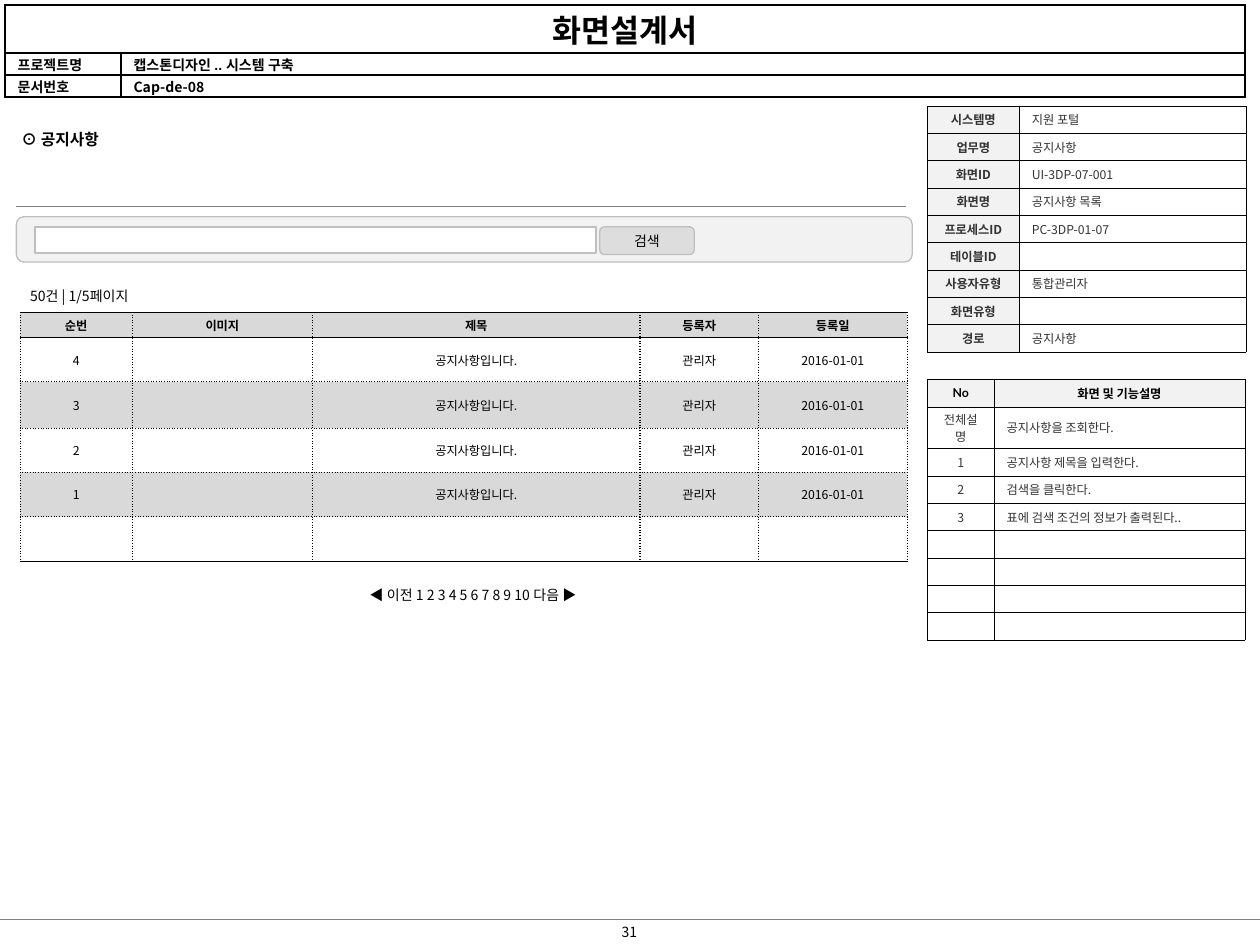
from dataclasses import dataclass
from lxml.etree import SubElement as Sub
from pptx import Presentation
from pptx.dml.color import RGBColor as Rgb
from pptx.enum.shapes import MSO_CONNECTOR as Link, MSO_SHAPE as Form
from pptx.enum.text import MSO_ANCHOR as Anchor, MSO_AUTO_SIZE as Auto, PP_ALIGN as Align
from pptx.oxml.ns import qn
from pptx.util import Inches, Pt


@dataclass
class Theme:
    ink: str = "000000"
    soft: str = "333333"
    rule: str = "808080"
    edge: str = "BFBFBF"
    key: str = "DDDDDD"
    band: str = "D9D9D9"
    pale: str = "F2F2F2"
    white: str = "FFFFFF"
    font: str = "Noto Sans CJK KR"
    alt: str = "Arial"
    lato: str = "Lato"
    big: int = 18
    head: int = 9
    body: int = 8
    cell: int = 7


look = Theme()


def write(frame, text, size, bold=False, tone=look.ink, font=look.font, align=Align.LEFT):
    par = frame.paragraphs[0]
    par.alignment = align
    par.font.size, par.font.bold, par.font.name = Pt(size), bold, font
    par.font.color.rgb = Rgb.from_string(tone)
    if text:
        par.add_run().text = text
    else:
        par._p.get_or_add_endParaRPr().set("sz", str(size * 100))


def grid(left, top, cols, rows, width, inset, pad, dots=False):
    table = slide.shapes.add_table(len(rows), len(cols), Inches(left), Inches(top),
                                   Inches(sum(cols)), Inches(sum(rows))).table
    table.first_row = table.horz_banding = False
    for col, size in zip(table.columns, cols):
        col.width = Inches(size)
    for i, size in enumerate(rows):
        table.rows[i].height = Inches(size)
        for cell in table.rows[i].cells:
            cell.margin_left = cell.margin_right = Inches(inset)
            cell.margin_top = cell.margin_bottom = Inches(pad)
            cell.vertical_anchor = Anchor.MIDDLE
            solid = {"T": i < 2, "B": i in (0, len(rows) - 1)}
            for side in "LRTB":
                line = Sub(cell._tc.get_or_add_tcPr(), qn(f"a:ln{side}"), w=str(Pt(width)))
                Sub(Sub(line, qn("a:solidFill")), qn("a:srgbClr"), val=look.ink)
                dash = "sysDot" if dots and not solid.get(side) else "solid"
                Sub(line, qn("a:prstDash"), val=dash)
            cell.fill.solid()
            cell.fill.fore_color.rgb = Rgb.from_string(look.white)
    return table


deck = Presentation()
deck.slide_width, deck.slide_height = Inches(10), Inches(7.5)
slide = deck.slides.add_slide(deck.slide_layouts[5])

title = slide.shapes.title
title.left, title.top, title.width, title.height = map(Inches, (0.07, 0.98, 0.87, 0.25))
frame = title.text_frame
frame.word_wrap, frame.auto_size = False, Auto.NONE
frame.vertical_anchor = Anchor.MIDDLE
write(frame, "⊙ 공지사항", look.head, True)

for start, end, y in [(0, 10, 7.3), (0.13, 7.19, 1.64)]:
    line = slide.shapes.add_connector(Link.STRAIGHT, Inches(start), Inches(y), Inches(end), Inches(y))
    line.line.color.rgb = Rgb.from_string(look.rule)
    line.line.width = Pt(0.75)
    Sub(line._element.spPr, qn("a:effectLst"))

top = grid(0.04, 0.04, [0.92, 8.92], [0.38, 0.175, 0.175], 1, 0.1, 0)
top.cell(0, 0).merge(top.cell(0, 1))
write(top.cell(0, 0).text_frame, "화면설계서", look.big, True, align=Align.CENTER)
facts = [("프로젝트명", "캡스톤디자인 .. 시스템 구축"), ("문서번호", "Cap-de-08")]
for i, pair in enumerate(facts, 1):
    for j, text in enumerate(pair):
        cell = top.cell(i, j)
        cell.vertical_anchor = Anchor.BOTTOM
        font = look.font if text.isascii() else look.alt
        write(cell.text_frame, text, look.body, True, font=font)

notes = [
    ("No", "화면 및 기능설명"),
    ("전체설명", "공지사항을 조회한다."),
    ("1", "공지사항 제목을 입력한다."),
    ("2", "검색을 클릭한다."),
    ("3", "표에 검색 조건의 정보가 출력된다.."),
] + [("", "")] * 4
table = grid(7.36, 3.01, [0.53, 1.99], [0.22, 0.33] + [0.217] * 7, 0.25, 0.1, 0.02)
for i, pair in enumerate(notes):
    for j, text in enumerate(pair):
        cell = table.cell(i, j)
        align = Align.LEFT if i and j else Align.CENTER
        if i:
            write(cell.text_frame, text, look.cell, tone=look.soft, align=align)
        else:
            cell.fill.fore_color.rgb = Rgb.from_string(look.pale)
            write(cell.text_frame, text, look.cell, True, font=(look.lato, look.alt)[j], align=align)

specs = [
    ("시스템명", "지원 포털"),
    ("업무명", "공지사항"),
    ("화면ID", "UI-3DP-07-001"),
    ("화면명", "공지사항 목록"),
    ("프로세스ID", "PC-3DP-01-07"),
    ("테이블ID", ""),
    ("사용자유형", "통합관리자"),
    ("화면유형", ""),
    ("경로", "공지사항"),
]
table = grid(7.36, 0.84, [0.73, 1.8], [0.217] * 9, 0.25, 0.1, 0.02)
for i, (name, text) in enumerate(specs):
    table.cell(i, 0).fill.fore_color.rgb = Rgb.from_string(look.pale)
    write(table.cell(i, 0).text_frame, name, look.cell, True, look.soft, align=Align.CENTER)
    write(table.cell(i, 1).text_frame, text, look.cell, tone=look.soft)

forms = [
    (Form.ROUNDED_RECTANGLE, 0.13, 1.72, 7.11, 0.36, look.pale, 0.75, ""),
    (Form.FLOWCHART_ALTERNATE_PROCESS, 4.76, 1.8, 0.75, 0.22, look.key, 0.75, "검색"),
    (Form.RECTANGLE, 0.28, 1.8, 4.45, 0.21, look.white, 1, ""),
]
for form, x, y, wide, high, fill, width, text in forms:
    box = slide.shapes.add_shape(form, Inches(x), Inches(y), Inches(wide), Inches(high))
    box.shadow.inherit = False
    box.fill.solid()
    box.fill.fore_color.rgb = Rgb.from_string(fill)
    box.line.color.rgb = Rgb.from_string(look.edge)
    box.line.width = Pt(width)
    if text:
        frame = box.text_frame
        frame.word_wrap = False
        frame.margin_top = frame.margin_bottom = 0
        frame.vertical_anchor = Anchor.MIDDLE
        write(frame, text, look.body, font=look.alt, align=Align.CENTER)

labels = [
    (4.72, 7.28, 0.55, "31", Align.CENTER, True),
    (2.72, 4.61, 2.07, "◀ 이전 1 2 3 4 5 6 7 8 9 10 다음 ▶", Align.CENTER, False),
    (0.14, 2.23, 2.44, "50건 | 1/5페이지", Align.LEFT, True),
]
for x, y, wide, text, align, wrap in labels:
    frame = slide.shapes.add_textbox(Inches(x), Inches(y), Inches(wide), Inches(0.24)).text_frame
    frame.word_wrap, frame.auto_size = wrap, Auto.SHAPE_TO_FIT_TEXT
    write(frame, text, look.body, align=align)

posts = [("순번", "이미지", "제목", "등록자", "등록일")]
posts += [(str(n), "", "공지사항입니다.", "관리자", "2016-01-01") for n in range(4, 0, -1)]
posts += [("",) * 5]
table = grid(0.16, 2.48, [0.89, 1.43, 2.6, 0.94, 1.18], [0.2, 0.35, 0.37, 0.35, 0.35, 0.36],
             0.75, 0, 0, True)
for i, post in enumerate(posts):
    for j, text in enumerate(post):
        cell = table.cell(i, j)
        if i in (0, 2, 4):
            cell.fill.fore_color.rgb = Rgb.from_string(look.band)
        font = look.font if i else look.alt
        write(cell.text_frame, text, look.cell, i == 0, font=font, align=Align.CENTER)

deck.save("out.pptx")
